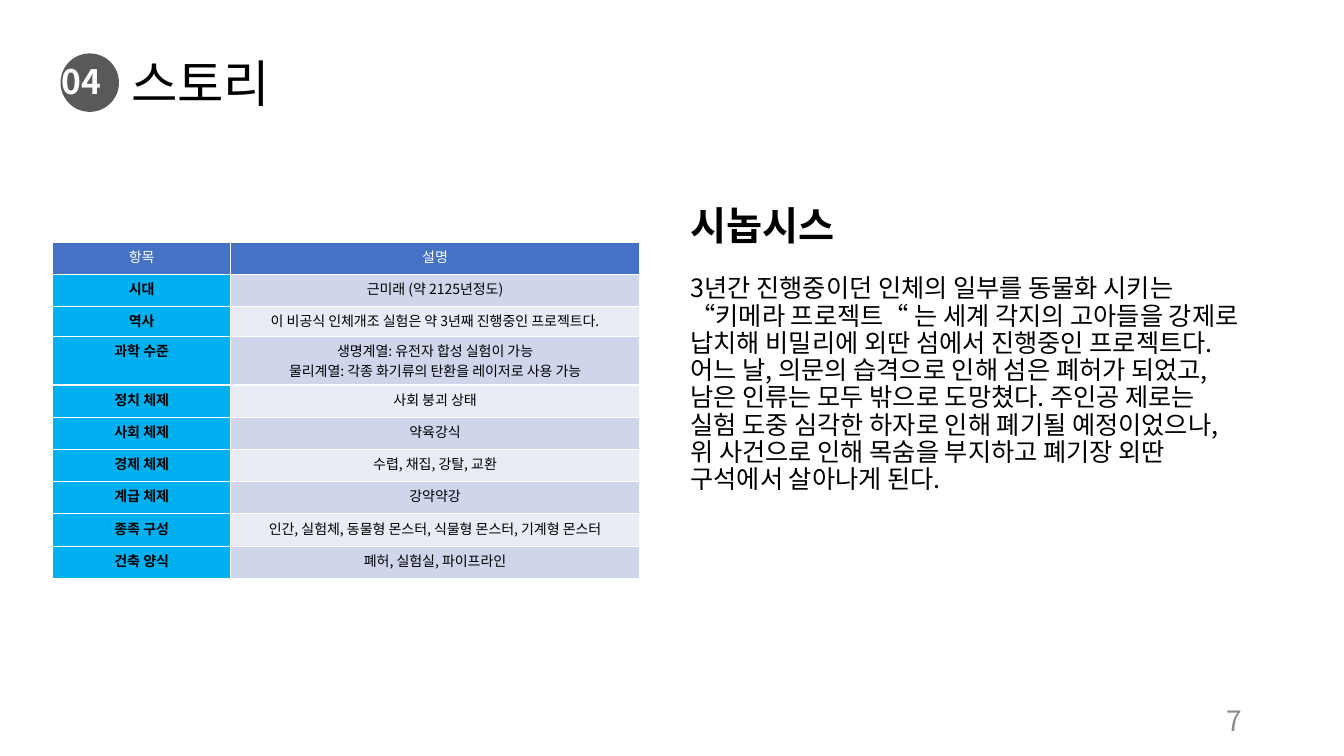
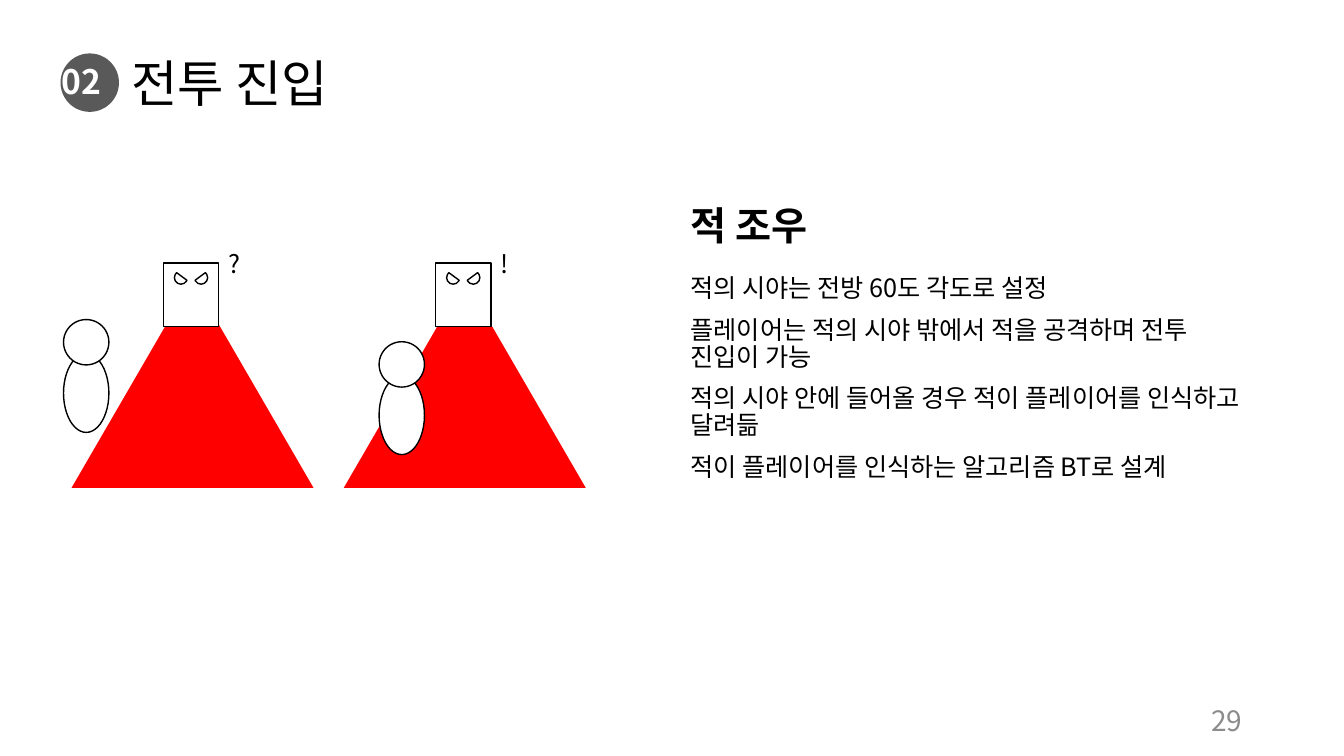
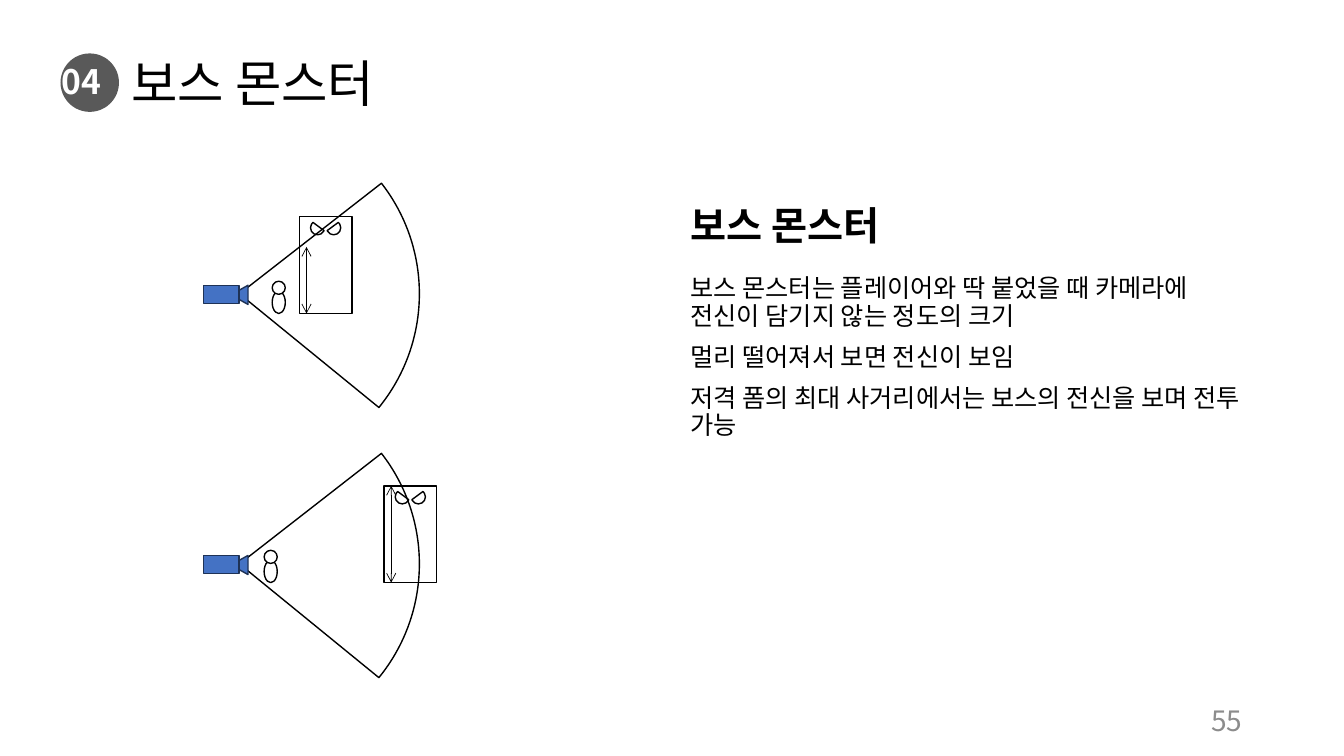
"""Build three game design slides: story table, enemy encounter and boss monster."""
from lxml import etree
from pptx import Presentation
from pptx.dml.color import RGBColor
from pptx.enum.shapes import MSO_CONNECTOR, MSO_SHAPE
from pptx.enum.text import MSO_ANCHOR, MSO_AUTO_SIZE, PP_ALIGN
from pptx.oxml.ns import qn
from pptx.util import Pt

RECT, OVAL = MSO_SHAPE.RECTANGLE, MSO_SHAPE.OVAL
TRIANGLE, CHORD, PIE = MSO_SHAPE.ISOSCELES_TRIANGLE, MSO_SHAPE.CHORD, MSO_SHAPE.PIE
STRAIGHT = MSO_CONNECTOR.STRAIGHT
TOP, MIDDLE, BOTTOM = MSO_ANCHOR.TOP, MSO_ANCHOR.MIDDLE, MSO_ANCHOR.BOTTOM
LEFT, CENTER, RIGHT = PP_ALIGN.LEFT, PP_ALIGN.CENTER, PP_ALIGN.RIGHT
NO_FIT = MSO_AUTO_SIZE.NONE
BLACK, WHITE = RGBColor(0, 0, 0), RGBColor(255, 255, 255)
RED, BLUE, NAVY = RGBColor(255, 0, 0), RGBColor(0x44, 0x72, 0xC4), RGBColor(0x1E, 0x32, 0x56)
SKY, BAND, PALE = RGBColor(0, 0xB0, 0xF0), RGBColor(0xCF, 0xD5, 0xEA), RGBColor(0xE9, 0xEB, 0xF5)
DARK, GRAY = RGBColor(0x59, 0x59, 0x59), RGBColor(0x8C, 0x8C, 0x8C)

FONT = "Noto Sans CJK KR"
PX = 9144
SLIDE_SIZE = (1333, 750)
BADGE_BOX = (60, 53, 58, 58)
TITLE_BOX = (120, 41, 487, 90)
NUMBER_BOX = (51, 57, 68, 49)
HEADING_BOX = (675, 200, 567, 49)
BODY_BOX = (675, 269, 567, 49)
PAGE_BOX = (942, 695, 300, 40)

TITLE = {"size": Pt(36), "color": BLACK}
NUMBER = {"size": Pt(24), "color": WHITE, "bold": True}
HEADING = {"size": Pt(28), "color": BLACK, "bold": True}
BODY = {"size": Pt(18), "color": BLACK}
PAGE = {"size": Pt(20), "color": GRAY}
HEAD_CELL = {"size": Pt(10), "color": WHITE, "bold": False}
KEY_CELL = {"size": Pt(10), "color": BLACK, "bold": True}
VALUE_CELL = {"size": Pt(10), "color": BLACK, "bold": False}

TABLE_BOX = (52, 240, 582, 327)
COLUMNS = [177, 405]
ROW_HEIGHTS = [32, 32, 30, 39] + [32] * 6
CELL_MARGINS = {"margin_left": 9, "margin_top": 4, "margin_right": 9, "margin_bottom": 4}
ROWS = [
    ("항목", ["설명"]),
    ("시대", ["근미래 (약 2125년정도)"]),
    ("역사", ["이 비공식 인체개조 실험은 약 3년째 진행중인 프로젝트다."]),
    ("과학 수준", ["생명계열: 유전자 합성 실험이 가능",
               "물리계열: 각종 화기류의 탄환을 레이저로 사용 가능"]),
    ("정치 체제", ["사회 붕괴 상태"]),
    ("사회 체제", ["약육강식"]),
    ("경제 체제", ["수렵, 채집, 강탈, 교환"]),
    ("계급 체제", ["강약약강"]),
    ("종족 구성", ["인간, 실험체, 동물형 몬스터, 식물형 몬스터, 기계형 몬스터"]),
    ("건축 양식", ["폐허, 실험실, 파이프라인"]),
]
ENCOUNTERS = [
    {"left": 71, "player": (63, 317), "mark": "?", "mark_width": 32},
    {"left": 341, "player": (376, 339), "mark": "!", "mark_width": 28},
]
BOSS_VIEWS = [
    {"top": 113, "player": (270, 279), "boss": (297, 215), "arrow": (304, 245, 311)},
    {"top": 381, "player": (262, 546), "boss": (381, 482), "arrow": (388, 482, 578)},
]
EYE_ANGLES = [(23.46, 229.4), (310.6, 156.54)]
VIEW_ANGLES = (322.1, 39.2)


def emu(box):
    return [v * PX for v in box]


def write(tf, lines, fmt, align=LEFT, anchor=TOP, spacing=None, wrap=True):
    tf.word_wrap, tf.vertical_anchor, tf.auto_size = wrap, anchor, NO_FIT
    fill_text(tf, lines, fmt, align, spacing)


def fill_text(tf, lines, fmt, align, spacing=None):
    for i, line in enumerate(lines):
        p = tf.add_paragraph() if i else tf.paragraphs[0]
        p.alignment = align
        if spacing:
            p.line_spacing = spacing
        if i and spacing:
            p.space_before = Pt(10)
        r = p.add_run()
        r.text = line
        for name, value in fmt.items():
            if name == "color":
                r.font.color.rgb = value
            else:
                setattr(r.font, name, value)
        r.font.name = FONT
        etree.SubElement(r.font._element, qn("a:ea"), typeface=FONT)


def add_text(s, box, lines, fmt, **layout):
    write(s.shapes.add_textbox(*emu(box)).text_frame, lines, fmt, **layout)


def add_shape(s, kind, box, fill=None, line=BLACK, angles=()):
    sp = s.shapes.add_shape(kind, *emu(box))
    sp.shadow.inherit = False
    if fill is None:
        sp.fill.background()
    else:
        sp.fill.solid()
        sp.fill.fore_color.rgb = fill
    if line is None:
        sp.line.fill.background()
    else:
        sp.line.color.rgb = line
        sp.line.width = Pt(1)
    for i, angle in enumerate(angles):
        sp.adjustments[i] = angle * 0.6
    return sp


def add_slide(prs, number, title, heading, body, page):
    s = prs.slides.add_slide(prs.slide_layouts[5])
    sp = s.shapes.title
    sp.left, sp.top, sp.width, sp.height = emu(TITLE_BOX)
    write(sp.text_frame, [title], TITLE, anchor=MIDDLE, spacing=0.9)
    add_shape(s, OVAL, BADGE_BOX, DARK, None)
    add_text(s, NUMBER_BOX, [number], NUMBER, anchor=BOTTOM, spacing=0.9)
    add_text(s, HEADING_BOX, [heading], HEADING, spacing=0.9)
    add_text(s, BODY_BOX, body, BODY, spacing=0.9)
    add_text(s, PAGE_BOX, [page], PAGE, align=RIGHT, anchor=MIDDLE)
    return s


def add_story_table(s):
    table = s.shapes.add_table(len(ROWS), len(COLUMNS), *emu(TABLE_BOX)).table
    for column, width in zip(table.columns, COLUMNS):
        column.width = width * PX
    for i, (key, values) in enumerate(ROWS):
        table.rows[i].height = ROW_HEIGHTS[i] * PX
        if i == 0:
            styles = [(BLUE, HEAD_CELL)] * 2
        else:
            styles = [(SKY, KEY_CELL), (BAND if i % 2 else PALE, VALUE_CELL)]
        for j, (lines, (fill, fmt)) in enumerate(zip(([key], values), styles)):
            cell = table.cell(i, j)
            cell.fill.solid()
            cell.fill.fore_color.rgb = fill
            for name, value in CELL_MARGINS.items():
                setattr(cell, name, value * PX)
            fill_text(cell.text_frame, lines, fmt, CENTER)


def add_monster(s, x, y, w, h, eye, eye_top, fill=None):
    add_shape(s, RECT, (x, y, w, h), fill)
    for eye_x, angles in zip((x + 11, x + w - 11 - eye), EYE_ANGLES):
        add_shape(s, CHORD, (eye_x, y + eye_top, eye, eye), fill, angles=angles)


def add_player(s, x, y, d):
    add_shape(s, OVAL, (x, y + round(d * 0.75), d, round(d * 1.73)), WHITE)
    add_shape(s, OVAL, (x, y, d, d), WHITE)


def add_encounter(s, left, player, mark, mark_width):
    add_shape(s, TRIANGLE, (left, 277, 240, 207), RED, None)
    add_monster(s, left + 91, 261, 55, 63, 13, 8, WHITE)
    add_player(s, *player, 45)
    add_text(s, (left + 146, 241, mark_width, 40), [mark], BODY, wrap=False)


def add_boss_view(s, top, player, boss, arrow):
    add_player(s, *player, 13)
    add_monster(s, *boss, 52, 96, 14, 4)
    add_shape(s, PIE, (59, top, 357, 357), angles=VIEW_ANGLES)
    add_shape(s, TRIANGLE, (228, top + 171, 19, 17), BLUE, NAVY).rotation = 270
    add_shape(s, RECT, (202, top + 170, 35, 18), BLUE, NAVY)
    x, y1, y2 = arrow
    c = s.shapes.add_connector(STRAIGHT, *emu((x, y1, x, y2)))
    c.line.color.rgb = BLACK
    c.line.width = Pt(0.5)
    props = c.element.spPr
    for end in ("a:headEnd", "a:tailEnd"):
        etree.SubElement(props.find(qn("a:ln")), qn(end), type="arrow")
    etree.SubElement(props, qn("a:effectLst"))


def main():
    prs = Presentation()
    prs.slide_width, prs.slide_height = emu(SLIDE_SIZE)

    s = add_slide(prs, "04", "스토리", "시놉시스", [
        "3년간 진행중이던 인체의 일부를 동물화 시키는 “키메라 프로젝트“ 는 세계 각지의 "
        "고아들을 강제로 납치해 비밀리에 외딴 섬에서 진행중인 프로젝트다. 어느 날, 의문의 "
        "습격으로 인해 섬은 폐허가 되었고, 남은 인류는 모두 밖으로 도망쳤다. 주인공 제로는 "
        "실험 도중 심각한 하자로 인해 폐기될 예정이었으나, 위 사건으로 인해 목숨을 부지하고 "
        "폐기장 외딴 구석에서 살아나게 된다."], "7")
    add_story_table(s)

    s = add_slide(prs, "02", "전투 진입", "적 조우", [
        "적의 시야는 전방 60도 각도로 설정",
        "플레이어는 적의 시야 밖에서 적을 공격하며 전투 진입이 가능",
        "적의 시야 안에 들어올 경우 적이 플레이어를 인식하고 달려듦",
        "적이 플레이어를 인식하는 알고리즘 BT로 설계"], "29")
    for encounter in ENCOUNTERS:
        add_encounter(s, **encounter)

    s = add_slide(prs, "04", "보스 몬스터", "보스 몬스터", [
        "보스 몬스터는 플레이어와 딱 붙었을 때 카메라에 전신이 담기지 않는 정도의 크기",
        "멀리 떨어져서 보면 전신이 보임",
        "저격 폼의 최대 사거리에서는 보스의 전신을 보며 전투 가능"], "55")
    for view in BOSS_VIEWS:
        add_boss_view(s, **view)

    prs.save("out.pptx")


if __name__ == "__main__":
    main()
